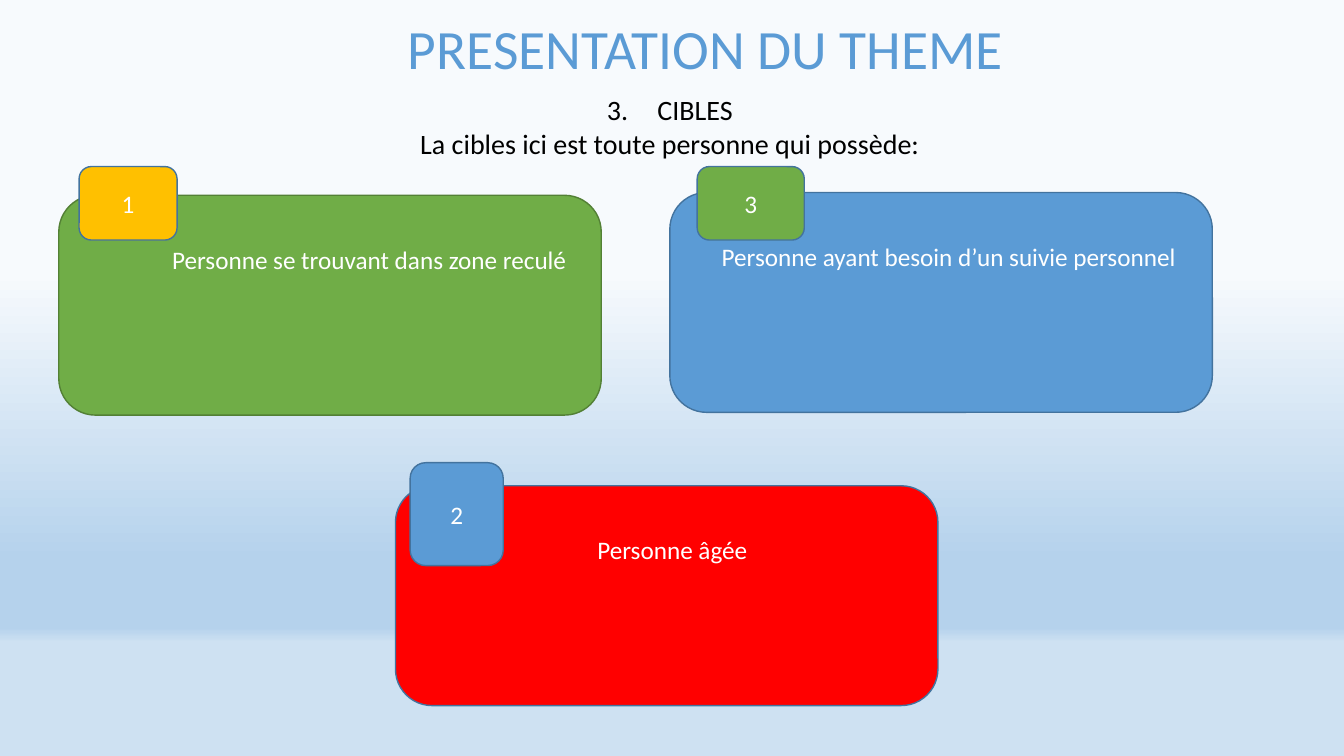
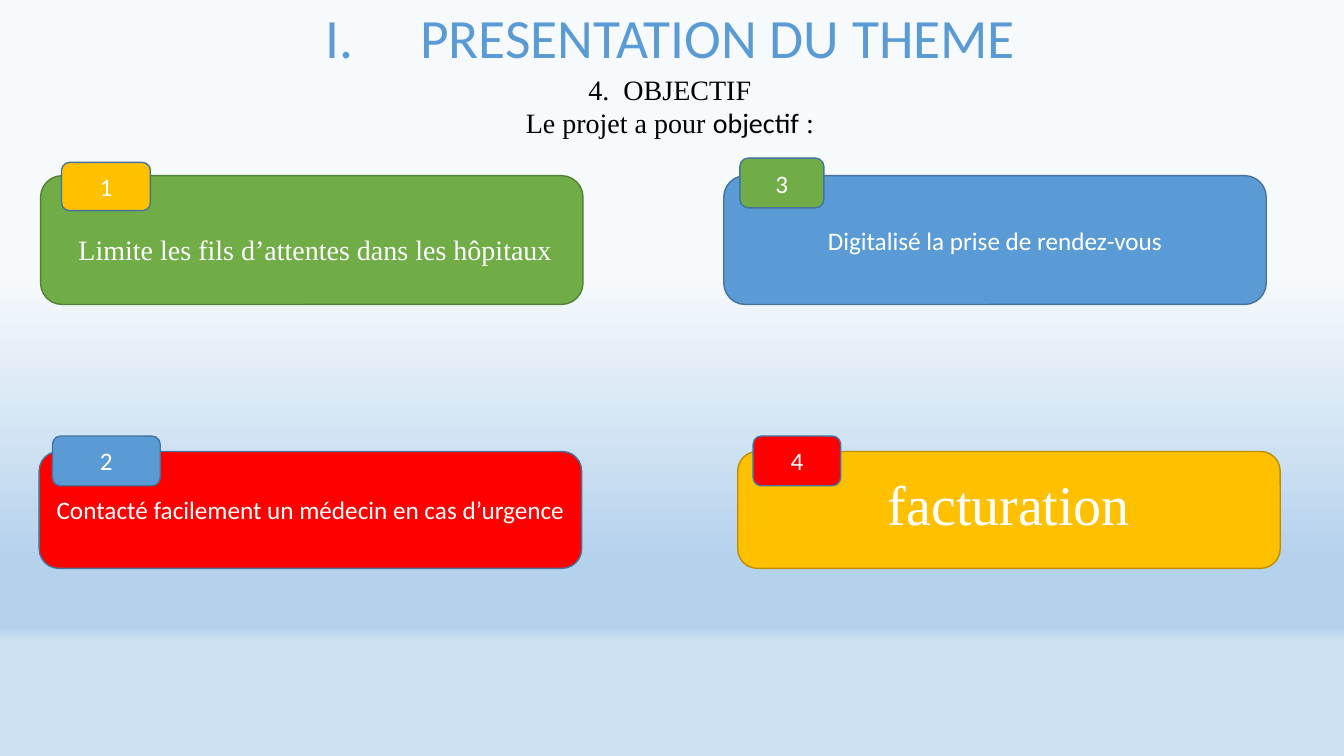
from lxml.etree import SubElement
from pptx import Presentation
from pptx.dml.color import RGBColor
from pptx.enum.shapes import MSO_SHAPE as SHAPE
from pptx.enum.text import MSO_ANCHOR as ANCHOR, MSO_AUTO_SIZE as AUTO, PP_ALIGN as ALIGN
from pptx.oxml.ns import qn
from pptx.util import Pt

GREEN = RGBColor(0x70, 0xAD, 0x47)
DARK_GREEN = RGBColor(0x53, 0x80, 0x35)
BLUE = RGBColor(0x5B, 0x9B, 0xD5)
DARK_BLUE = RGBColor(0x43, 0x73, 0x9E)
GOLD = RGBColor(0xFF, 0xC0, 0x00)
DARK_GOLD = RGBColor(0xBD, 0x8E, 0x00)
RED = RGBColor(0xFF, 0x00, 0x00)
WHITE = RGBColor(0xFF, 0xFF, 0xFF)
BLACK = RGBColor(0x00, 0x00, 0x00)
SKY_PALE = RGBColor(0xF7, 0xFA, 0xFD)
SKY = RGBColor(0xB5, 0xD2, 0xEC)
SKY_LIGHT = RGBColor(0xCE, 0xE1, 0xF2)

SANS = "Calibri"
SERIF = "Times New Roman"
CARD_W = 387.5
INSET_X, INSET_Y = 7.2, 3.6


def set_background(master):
    fill = master.background.fill
    fill.gradient()
    fill.gradient_angle = 270
    stops = master.element.find(".//" + qn("a:gsLst"))
    for gs in list(stops):
        stops.remove(gs)
    for pos, color in ((36, SKY_PALE), (74, SKY), (83, SKY), (85, SKY_LIGHT)):
        gs = SubElement(stops, qn("a:gs"), pos=str(pos * 1000))
        SubElement(gs, qn("a:srgbClr"), val=str(color))


def place(shape, box):
    shape.left, shape.top, shape.width, shape.height = (Pt(v) for v in box)


def add_run(p, text, size, color, font=SANS):
    r = p.add_run()
    r.text = text
    r.font.size = Pt(size)
    r.font.name = font
    r.font.color.rgb = color


def number(p, scheme, start, hang, font=SANS):
    pPr = p._p.get_or_add_pPr()
    pPr.set("marL", str(Pt(hang)))
    pPr.set("indent", str(-Pt(hang)))
    SubElement(pPr, qn("a:buFont"), typeface=font)
    SubElement(pPr, qn("a:buAutoNum"), type=scheme, startAt=str(start))


def add_title(s, box, numbered=False):
    title = s.shapes.title
    place(title, box)
    tf = title.text_frame
    tf.auto_size = AUTO.NONE
    tf.vertical_anchor = ANCHOR.MIDDLE
    p = tf.paragraphs[0]
    p.alignment = ALIGN.CENTER
    p.line_spacing = 0.9
    if numbered:
        number(p, "romanUcPeriod", 1, 67.5)
    add_run(p, "PRESENTATION DU THEME", 39.6, BLUE)


def add_heading(s, box, start, hang, heading, intro, font):
    tb = s.shapes.add_textbox(*(Pt(v) for v in box))
    tf = tb.text_frame
    tf.word_wrap = True
    p = tf.paragraphs[0]
    p.alignment = ALIGN.CENTER
    number(p, "arabicPeriod", start, hang, font)
    add_run(p, heading, 20, BLACK, font)
    p = tf.add_paragraph()
    p.alignment = ALIGN.CENTER
    for text, run_font in intro:
        add_run(p, text, 20, BLACK, run_font)


def add_rounded(s, box, fill, line, text, size=18, font=SANS, shift=(0, 0)):
    sp = s.shapes.add_shape(SHAPE.ROUNDED_RECTANGLE, *(Pt(v) for v in box))
    sp.shadow.inherit = False
    sp.fill.solid()
    sp.fill.fore_color.rgb = fill
    sp.line.color.rgb = line
    sp.line.width = Pt(1)
    dx, dy = shift
    tf = sp.text_frame
    tf.word_wrap = True
    tf.vertical_anchor = ANCHOR.MIDDLE
    tf.margin_left = Pt(INSET_X + 2 * dx)
    tf.margin_right = Pt(INSET_X)
    tf.margin_top = Pt(INSET_Y + 2 * max(dy, 0))
    tf.margin_bottom = Pt(INSET_Y + 2 * max(-dy, 0))
    p = tf.paragraphs[0]
    p.alignment = ALIGN.CENTER
    add_run(p, text, size, WHITE, font)


def add_card(s, box, fill, line, text, badge, **style):
    add_rounded(s, box, fill, line, text, **style)
    label, color, dx, dy, w, h = badge
    add_rounded(s, (box[0] + dx, box[1] + dy, w, h), color, DARK_BLUE, label)


def targets_slide(prs):
    s = prs.slides.add_slide(prs.slide_layouts[5])
    add_title(s, (171.5, 7, 665, 59))
    add_heading(s, (264, 62.5, 429, 80), 3, 36, "CIBLES",
                [("La cibles ici est toute personne qui possède:", SANS)], SANS)
    h = 157
    add_card(s, (42, 139.5, CARD_W, h), GREEN, DARK_GREEN,
             "Personne se trouvant dans zone reculé",
             ("1", GOLD, 14.5, -20.5, 70, 52.5), shift=(28, -33))
    add_card(s, (282.5, 347, CARD_W, h), RED, DARK_BLUE, "Personne âgée",
             ("2", BLUE, 10.5, -16.5, 66.5, 73.5), shift=(4, -33))
    add_card(s, (478.5, 137.5, CARD_W, h), BLUE, DARK_BLUE,
             "Personne ayant besoin d’un suivie personnel",
             ("3", GREEN, 19.5, -18.5, 76.5, 52.5), shift=(5.5, -33))


def goals_slide(prs):
    s = prs.slides.add_slide(prs.slide_layouts[5])
    add_title(s, (65, 3.5, 828, 51), numbered=True)
    add_heading(s, (264, 48, 429, 55.5), 4, 25, "OBJECTIF",
                [("Le projet a pour ", SERIF), ("objectif", SANS), (" :", SERIF)], SERIF)
    top, top_h = 125.5, 92
    low, low_h = 322.5, 83.5
    add_card(s, (29, top, CARD_W, top_h), GREEN, DARK_GREEN,
             "Limite les fils d’attentes dans les hôpitaux",
             ("1", GOLD, 15, -9.5, 63.5, 34.5), size=20, font=SERIF, shift=(2.5, 6.5))
    add_card(s, (28, low, CARD_W, low_h), RED, DARK_BLUE,
             "Contacté facilement un médecin en cas d’urgence",
             ("2", BLUE, 9.5, -11, 77, 35.5))
    add_card(s, (527, low, CARD_W, low_h), GOLD, DARK_GOLD, "facturation",
             ("4", RED, 11, -11, 62.5, 35.5), size=40, font=SERIF, shift=(0, -5))
    add_card(s, (517, top, CARD_W, top_h), BLUE, DARK_BLUE,
             "Digitalisé la prise de rendez-vous",
             ("3", GREEN, 11.5, -12.5, 60, 35.5))


def main():
    prs = Presentation()
    prs.slide_width, prs.slide_height = Pt(960), Pt(540)
    set_background(prs.slide_master)
    targets_slide(prs)
    goals_slide(prs)
    prs.save("out.pptx")


if __name__ == "__main__":
    main()
